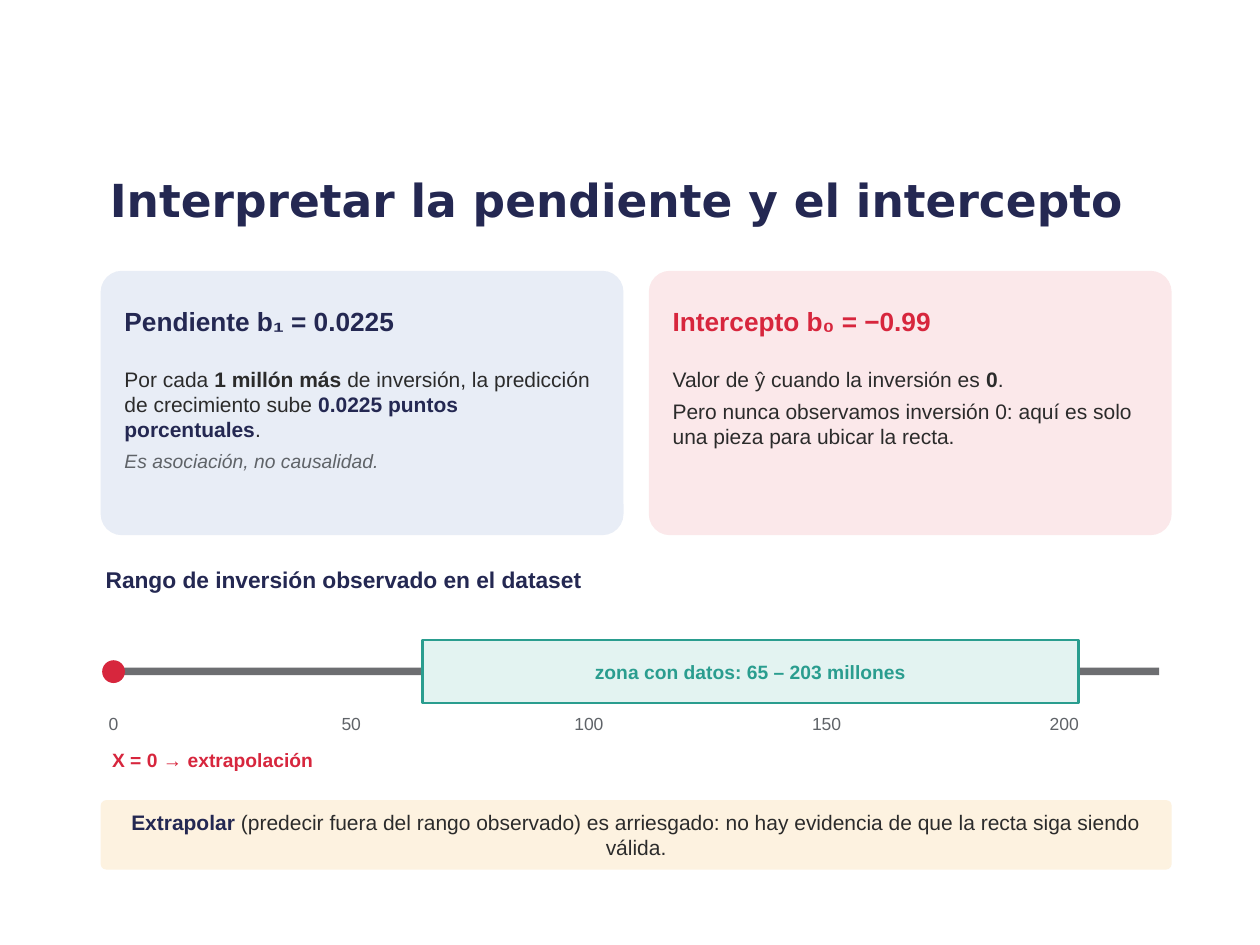
from pptx import Presentation, util as u
from pptx.dml.color import RGBColor
from pptx.enum import shapes, text

NAVY, RED, TEAL, INK, GREY = "242852", "D7263D", "2A9D8F", "2B2B2B", "5F6368"
ROUND = shapes.MSO_SHAPE.ROUNDED_RECTANGLE
RECT = shapes.MSO_SHAPE.RECTANGLE
OVAL = shapes.MSO_SHAPE.OVAL
TOP, MID = text.MSO_ANCHOR.TOP, text.MSO_ANCHOR.MIDDLE


def paint(target, tone):
    target.rgb = RGBColor.from_string(tone)


class Deck:
    """Holds the text style and the current slide."""

    def __init__(self, slide, face="Arial"):
        self.slide, self.face = slide, face

    def fill_text(self, frame, lines, pad, after, center=False, anchor=TOP):
        frame.word_wrap = True
        frame.vertical_anchor = anchor
        frame.margin_left = frame.margin_right = u.Cm(pad)
        frame.margin_top = frame.margin_bottom = u.Cm(pad)
        for i, (runs, size, tone, style) in enumerate(lines):
            para = frame.add_paragraph() if i else frame.paragraphs[0]
            para.alignment = text.PP_ALIGN.CENTER if center else text.PP_ALIGN.LEFT
            para.space_after = u.Pt(after)
            font = para.font
            font.name, font.size = self.face, u.Pt(size)
            font.bold, font.italic = style == "b", style == "i"
            paint(font.color, tone)
            for part in [runs] if isinstance(runs, str) else runs:
                words, accent = (part, None) if isinstance(part, str) else part
                run = para.add_run()
                run.text = words
                if accent:
                    run.font.bold = True
                    paint(run.font.color, accent)

    def label(self, box, lines, center=False, anchor=TOP):
        frame = self.slide.shapes.add_textbox(*map(u.Cm, box)).text_frame
        self.fill_text(frame, lines, 0.1, 4, center, anchor)
        frame.auto_size = text.MSO_AUTO_SIZE.SHAPE_TO_FIT_TEXT

    def title(self, box, words):
        frame = self.slide.shapes.add_textbox(*map(u.Cm, box)).text_frame
        self.fill_text(frame, [(words, 26, NAVY, "b")], 0.13, 0, True, MID)
        frame.margin_left = frame.margin_right = u.Cm(0.25)
        frame.paragraphs[0].font.name = "DejaVu Sans"

    def shape(self, kind, box, fill, edge=None, lines=()):
        item = self.slide.shapes.add_shape(kind, *map(u.Cm, box))
        item.shadow.inherit = False
        item.fill.solid()
        paint(item.fill.fore_color, fill)
        if edge:
            paint(item.line.color, edge)
            item.line.width = u.Pt(1.25)
        else:
            item.line.fill.background()
        if kind == ROUND:
            item.adjustments[0] = 0.08
        if lines:
            self.fill_text(item.text_frame, lines, 0.2, 3, True, MID)

    def card(self, left, fill, head, tone, body):
        self.shape(ROUND, (left, 5.46, 10.54, 5.33), fill)
        self.label((left + 0.38, 5.77, 9.91, 1.4), [(head, 15, tone, "b")], anchor=MID)
        self.label((left + 0.38, 7.29, 9.78, 3.3), body)

    def scale(self, left, width, top, low, high, end):
        unit = width / end
        self.shape(RECT, (left, top, width, 0.15), "6D6E71")
        zone = f"zona con datos: {low} – {high} millones"
        self.shape(RECT, (left + low * unit, top - 0.56, (high - low) * unit, 1.27),
                   "E3F3F1", TEAL, [(zone, 11, TEAL, "b")])
        for tick in range(0, end, 50):
            self.label((left + tick * unit - 0.76, top + 0.81, 1.52, 0.76),
                       [(str(tick), 10, GREY, "")], True)
        self.shape(OVAL, (left - 0.23, top - 0.15, 0.46, 0.46), RED)


def main():
    show = Presentation()
    show.slide_width, show.slide_height = u.Cm(25.4), u.Cm(19.05)
    deck = Deck(show.slides.add_slide(show.slide_layouts[6]))

    deck.title((1.9, 3, 21.08, 2.03), "Interpretar la pendiente y el intercepto")
    deck.card(2.03, "E8EDF6", "Pendiente b₁ = 0.0225", NAVY, [
        (["Por cada ", ("1 millón más", INK),
          " de inversión, la predicción de crecimiento sube ",
          ("0.0225 puntos porcentuales", NAVY), "."], 12, INK, ""),
        ("Es asociación, no causalidad.", 11, GREY, "i")])
    deck.card(13.08, "FBE8EA", "Intercepto b₀ = −0.99", RED, [
        (["Valor de ŷ cuando la inversión es ", ("0", INK), "."], 12, INK, ""),
        ("Pero nunca observamos inversión 0: aquí es solo una pieza para ubicar la recta.",
         12, INK, "")])

    deck.label((2.03, 11.3, 21.59, 1.02),
               [("Rango de inversión observado en el dataset", 13, NAVY, "b")])
    deck.scale(2.29, 21.08, 13.46, 65, 203, 220)
    deck.label((2.16, 14.99, 7.62, 1.02), [("X = 0 → extrapolación", 11, RED, "b")])
    deck.shape(ROUND, (2.03, 16.13, 21.59, 1.4), "FDF2E0", lines=[
        ([("Extrapolar ", NAVY), "(predecir fuera del rango observado) es arriesgado: "
          "no hay evidencia de que la recta siga siendo válida."], 12, INK, "")])
    show.save("out.pptx")


if __name__ == "__main__":
    main()
